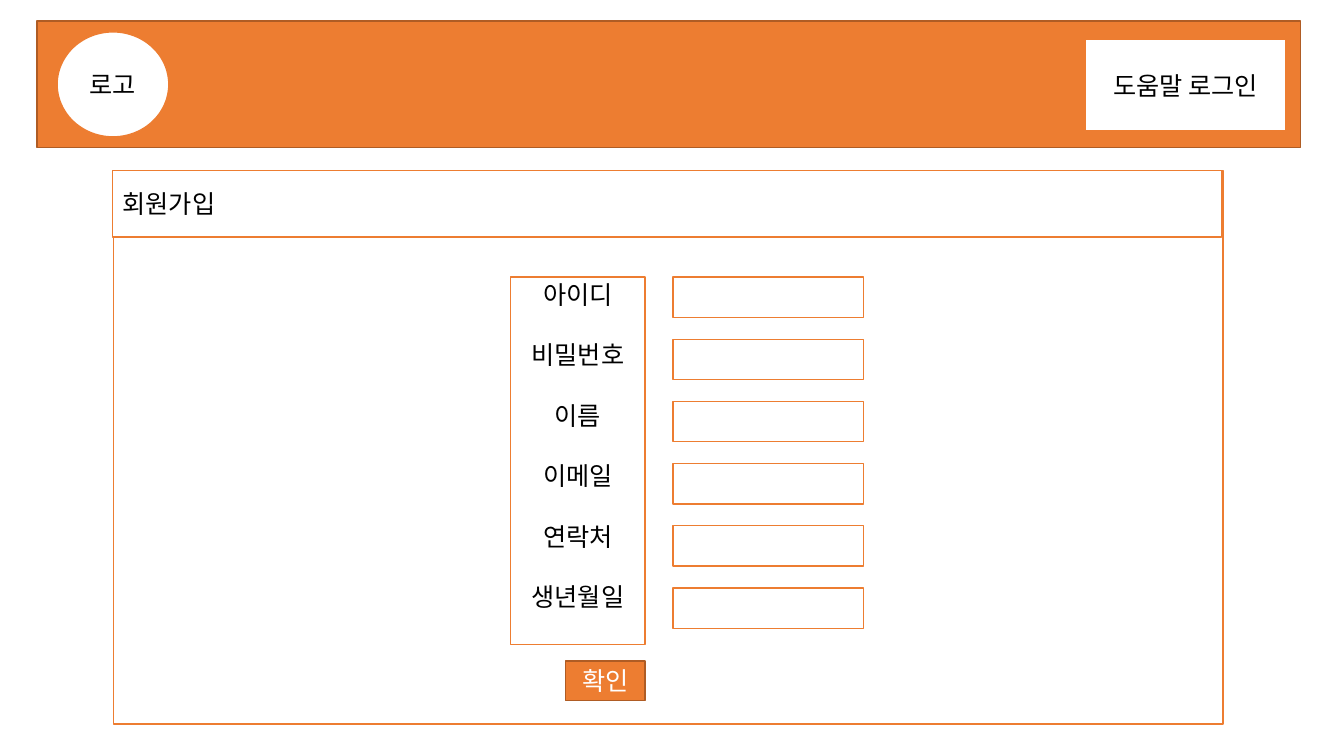
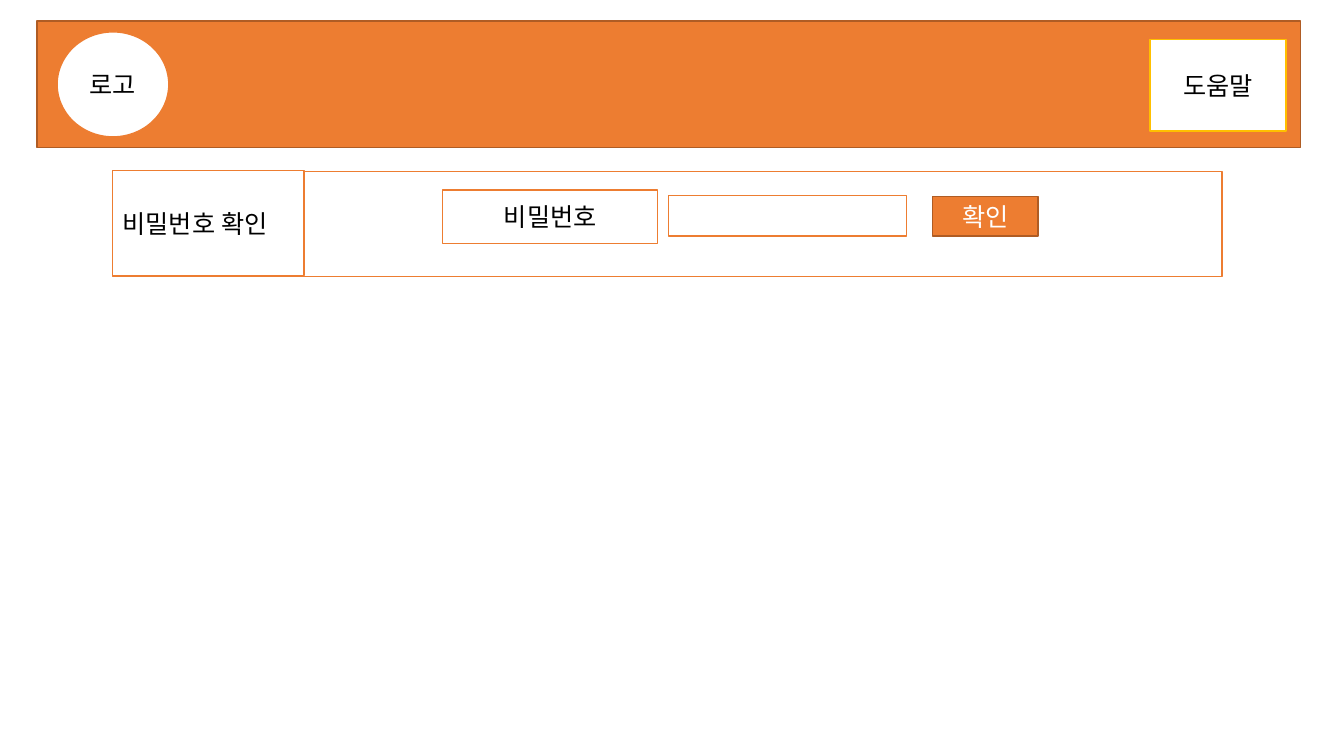
"""Build two wireframe slides: a sign-up form and a password check."""
from dataclasses import dataclass
from typing import NamedTuple

from lxml import etree
from pptx import Presentation
from pptx import util as u
from pptx.dml.color import RGBColor
from pptx.enum import shapes, text
from pptx.oxml import ns

RECT = shapes.MSO_SHAPE.RECTANGLE
OVAL = shapes.MSO_SHAPE.OVAL
LEFT = text.PP_ALIGN.LEFT
MID = text.PP_ALIGN.CENTER
COL = ROW = u.Inches(7.5) / 9


@dataclass(frozen=True)
class Theme:
    font: str = "Noto Sans CJK KR"
    size: float = 18
    pitch: float = 21.6
    edge: float = 1
    main: str = "ED7D31"
    dark: str = "AF5C24"
    gold: str = "FFC000"
    white: str = "FFFFFF"
    black: str = "000000"


THEME = Theme()


class Look(NamedTuple):
    fill: str
    line: str
    ink: str


PLAIN = Look(THEME.white, THEME.main, THEME.black)
SOLID = Look(THEME.main, THEME.dark, THEME.white)
GILT = Look(THEME.white, THEME.gold, THEME.black)


class Area(NamedTuple):
    col: float
    row: float
    wide: float
    high: float


@dataclass(frozen=True)
class Box:
    area: Area
    words: tuple[str, ...] = ()
    look: Look = PLAIN
    kind: shapes.MSO_SHAPE = RECT


@dataclass(frozen=True)
class Page:
    title: Box
    panel: Box
    help: Box
    form: tuple[Box, ...]


def place(area: Area) -> tuple[int, int, int, int]:
    return (round(area.col * COL), round(area.row * ROW),
            round(area.wide * COL), round(area.high * ROW))


def paint(shape, look: Look) -> None:
    shape.fill.solid()
    shape.fill.fore_color.rgb = RGBColor.from_string(look.fill)
    shape.line.color.rgb = RGBColor.from_string(look.line)
    shape.line.width = u.Pt(THEME.edge)


def write(shape, box: Box, align: text.PP_ALIGN) -> None:
    frame = shape.text_frame
    frame.word_wrap = True
    frame.auto_size = text.MSO_AUTO_SIZE.NONE
    frame.vertical_anchor = text.MSO_ANCHOR.MIDDLE
    stack = len(box.words) > 1
    if stack:
        frame.margin_top = 0
        frame.margin_bottom = u.Pt(THEME.pitch)
    for i, word in enumerate(box.words):
        para = frame.add_paragraph() if i else frame.paragraphs[0]
        para.alignment = align
        if stack:
            para.line_spacing = u.Pt(THEME.pitch)
            para.space_before = u.Pt(THEME.pitch if i else 0)
        run = para.add_run()
        run.text = word
        run.font.size = u.Pt(THEME.size)
        run.font.name = THEME.font
        run.font.color.rgb = RGBColor.from_string(box.look.ink)
        east = etree.SubElement(run._r.get_or_add_rPr(), ns.qn("a:ea"))
        east.set("typeface", THEME.font)


def draw(slide, box: Box) -> None:
    shape = slide.shapes.add_shape(box.kind, *place(box.area))
    shape.shadow.inherit = False
    paint(shape, box.look)
    write(shape, box, MID)


def head(slide, box: Box) -> None:
    title = slide.shapes.title
    title.left, title.top, title.width, title.height = place(box.area)
    paint(title, box.look)
    write(title, box, LEFT)
    title.element.getparent().append(title.element)


def build(deck, page: Page) -> None:
    slide = deck.slides.add_slide(deck.slide_layouts[5])
    for box in (BAND, LOGO, page.help, page.panel):
        draw(slide, box)
    head(slide, page.title)
    for box in page.form:
        draw(slide, box)


BAND = Box(Area(0.44, 0.25, 15.04, 1.51), look=SOLID)
LOGO = Box(Area(0.68, 0.38, 1.33, 1.25), ("로고",), kind=OVAL)
LABELS = ("아이디", "비밀번호", "이름", "이메일", "연락처", "생년월일")
FIELDS = tuple(Box(Area(8.01, 3.3 + 0.74 * i, 2.27, 0.48))
               for i in range(len(LABELS)))

PAGES = (
    Page(
        title=Box(Area(1.34, 2.03, 13.2, 0.79), ("회원가입",)),
        panel=Box(Area(1.35, 2.03, 13.21, 6.59)),
        help=Box(Area(12.92, 0.47, 2.39, 1.09), ("도움말 로그인",)),
        form=(
            Box(Area(6.08, 3.3, 1.6, 4.37), LABELS),
            Box(Area(6.73, 7.87, 0.95, 0.47), ("확인",), SOLID),
            *FIELDS,
        ),
    ),
    Page(
        title=Box(Area(1.34, 2.03, 2.28, 1.25), ("비밀번호 확인",)),
        panel=Box(Area(1.34, 2.04, 13.21, 1.25)),
        help=Box(Area(13.69, 0.47, 1.62, 1.09), ("도움말",), GILT),
        form=(
            Box(Area(5.27, 2.26, 2.56, 0.64), ("비밀번호",)),
            Box(Area(7.96, 2.33, 2.83, 0.48)),
            Box(Area(11.1, 2.34, 1.26, 0.47), ("확인",), SOLID),
        ),
    ),
)


def main() -> None:
    deck = Presentation()
    deck.slide_width = round(16 * COL)
    deck.slide_height = round(9 * ROW)
    for page in PAGES:
        build(deck, page)
    deck.save("out.pptx")


main()
